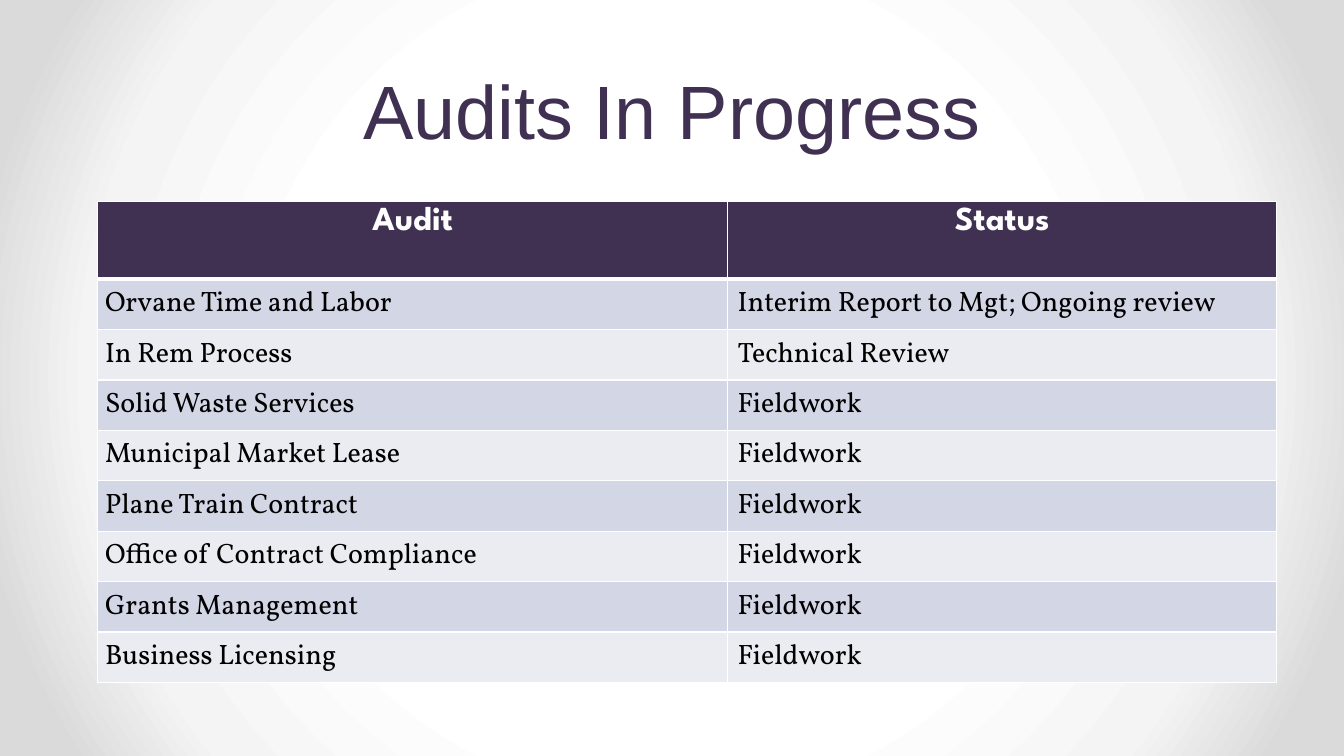
from pptx import Presentation
from pptx.dml.color import RGBColor
from pptx.enum.text import MSO_ANCHOR, PP_ALIGN
from pptx.oxml import parse_xml
from pptx.oxml.ns import nsdecls
from pptx.util import Pt

PX = 9525  # EMU per px, 96 px to the inch
THEME = {
    "title": {"name": "Arial", "size": Pt(54), "bold": False, "color": "403152"},
    "head": {"name": "League Spartan", "size": Pt(24), "bold": True, "color": "FFFFFF"},
    "body": {"name": "Vollkorn", "size": Pt(20), "bold": False, "color": "000000"},
    "head_fill": "403152",
    "bands": ["D2D6E5", "EAECF2"],
    "rule": "FFFFFF",
    "glow": [(50, "FFFFFF"), (76, "F4F4F4"), (92, "DADADA")],
}
AUDITS = [
    ("Audit", "Status"),
    ("Orvane Time and Labor", "Interim Report to Mgt; Ongoing review"),
    ("In Rem Process", "Technical Review"),
    ("Solid Waste Services", "Fieldwork"),
    ("Municipal Market Lease", "Fieldwork"),
    ("Plane Train Contract", "Fieldwork"),
    ("Office of Contract Compliance", "Fieldwork"),
    ("Grants Management", "Fieldwork"),
    ("Business Licensing", "Fieldwork"),
]


def write(tf, text, style, align):
    p = tf.paragraphs[0]
    p.alignment = align
    r = p.add_run()
    r.text = text
    for key, value in THEME[style].items():
        if key == "color":
            r.font.color.rgb = RGBColor.from_string(value)
        else:
            setattr(r.font, key, value)
    return p


def add_border(cell, side, points):
    cell._tc.get_or_add_tcPr().append(parse_xml(
        f'<a:{side} {nsdecls("a")} w="{Pt(points)}"><a:solidFill>'
        f'<a:srgbClr val="{THEME["rule"]}"/></a:solidFill></a:{side}>'))


prs = Presentation()
prs.slide_width, prs.slide_height = 1280 * PX, 720 * PX
s = prs.slides.add_slide(prs.slide_layouts[5])

# Background: radial glow
stops = "".join(f'<a:gs pos="{pos * 1000}"><a:srgbClr val="{color}"/></a:gs>'
                for pos, color in THEME["glow"])
s.element.cSld.insert(0, parse_xml(
    f'<p:bg {nsdecls("p", "a")}><p:bgPr><a:gradFill rotWithShape="1">'
    f'<a:gsLst>{stops}</a:gsLst><a:path path="circle">'
    '<a:fillToRect l="50000" t="50000" r="50000" b="50000"/></a:path>'
    '</a:gradFill><a:effectLst/></p:bgPr></p:bg>'))

# Title
title = s.shapes.title
title.left, title.top, title.width, title.height = 64 * PX, 0, 1152 * PX, 152 * PX
tf = title.text_frame
tf.vertical_anchor = MSO_ANCHOR.BOTTOM
write(tf, "Audits In Progress", "title", PP_ALIGN.CENTER).line_spacing = Pt(58)

# Table of audits
widths = [600, 523]
heights = [74] + [48] * (len(AUDITS) - 1)
table = s.shapes.add_table(len(AUDITS), 2, 93 * PX, 192 * PX,
                           sum(widths) * PX, sum(heights) * PX).table
for col, width in zip(table.columns, widths):
    col.width = width * PX
for i, (row, height, texts) in enumerate(zip(table.rows, heights, AUDITS)):
    row.height = height * PX
    head = i == 0
    for j, (cell, text) in enumerate(zip(row.cells, texts)):
        write(cell.text_frame, text, "head" if head else "body",
              PP_ALIGN.CENTER if head else PP_ALIGN.LEFT)
        cell.vertical_anchor = MSO_ANCHOR.TOP if head else MSO_ANCHOR.MIDDLE
        if j == 0 and not head:
            cell.margin_left = cell.margin_right = 7 * PX
            cell.margin_top = cell.margin_bottom = 0
        # Borders come before the fill in the cell properties
        for side in ("lnL", "lnR", "lnT", "lnB"):
            heavy = (head and side == "lnB") or (i == 1 and side == "lnT")
            add_border(cell, side, 3 if heavy else 1)
        cell.fill.solid()
        cell.fill.fore_color.rgb = RGBColor.from_string(
            THEME["head_fill"] if head else THEME["bands"][(i - 1) % 2])

prs.save("out.pptx")
